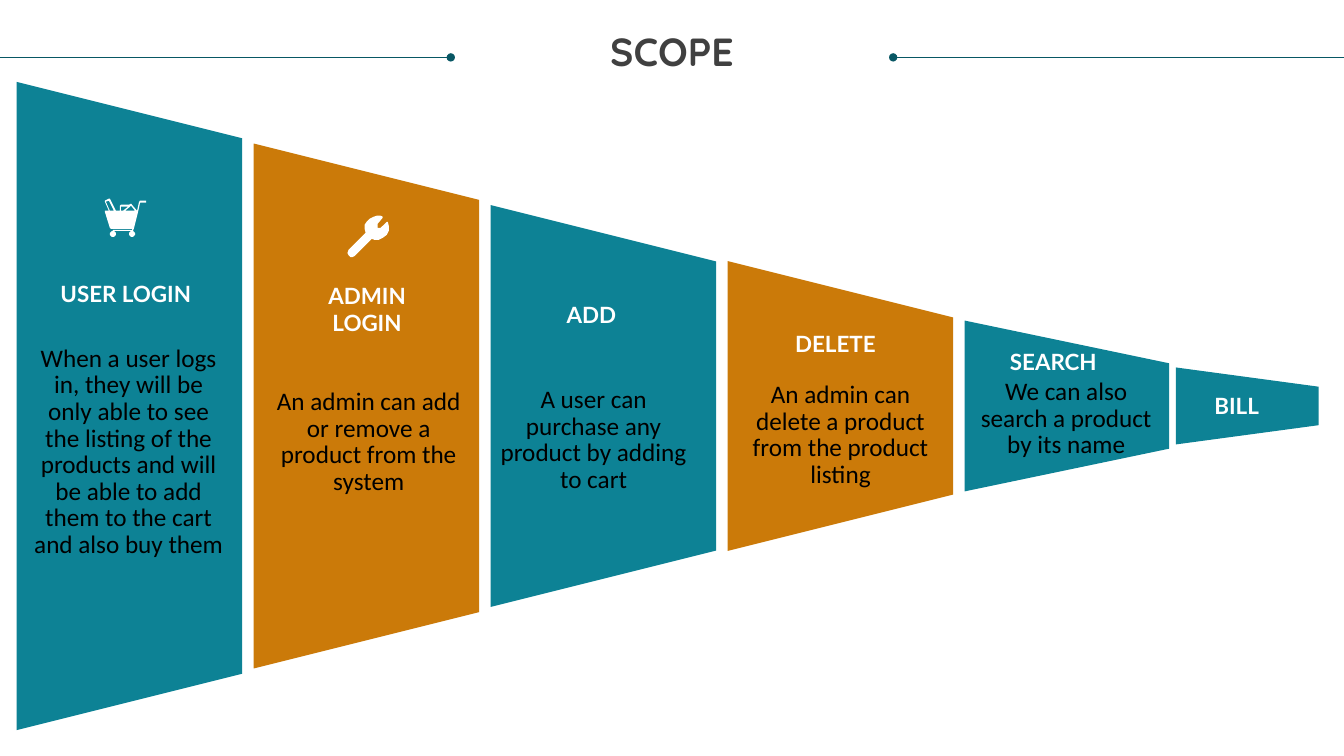
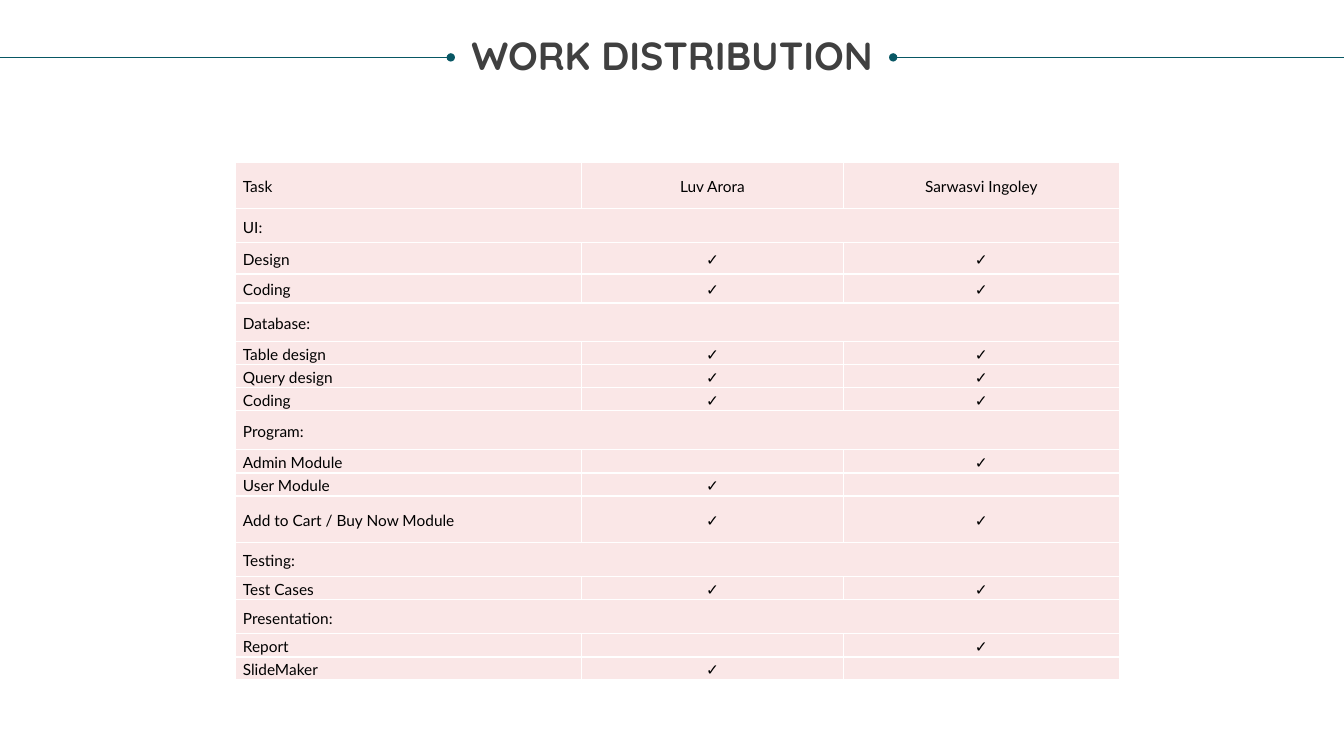
from dataclasses import dataclass

from lxml.etree import SubElement
from pptx import Presentation
from pptx.dml.color import RGBColor as Color
from pptx.enum.shapes import MSO_CONNECTOR as Connector, MSO_SHAPE as Preset
from pptx.enum.text import MSO_ANCHOR as Anchor, PP_ALIGN as Align
from pptx.oxml import parse_xml
from pptx.oxml.ns import nsdecls, qn
from pptx.util import Pt


@dataclass(frozen=True)
class TextStyle:
    font: str
    size: float
    color: str
    bold: bool = False
    spacing: object = None
    after: float = 0


@dataclass(frozen=True)
class Theme:
    teal: str = "0D8295"
    amber: str = "CB7A09"
    white: str = "FFFFFF"
    rule: str = "085764"
    cell: str = "FAE7E7"
    title: TextStyle = TextStyle("Quicksand", 28, "404040", True, 0.9)
    heading: TextStyle = TextStyle("Lato", 16, "FFFFFF", True)
    body: TextStyle = TextStyle("Calibri", 18, "000000", False, Pt(19))
    table: TextStyle = TextStyle("Lato", 11, "000000", False, 1.15, 10)


@dataclass(frozen=True)
class Panel:
    color: str
    width: float
    height: float
    heading: str
    heading_at: tuple
    body: str = ""
    body_at: tuple = ()
    icon: tuple = ()
    icon_at: tuple = ()


THEME = Theme()
PAGE_WIDTH, PAGE_HEIGHT = 960, 540
RULE_Y, RULE_LENGTH = 41, 322
FUNNEL_LEFT, FUNNEL_MIDDLE, PANEL_STEP = 11.9, 290, 169.3
LAST_PANEL_LEFT = 839.9
ICON_UNIT = 0.72

WHEEL = [(-3, -1), (-1, -3), (1, -3), (3, -1), (3, 1), (1, 3), (-1, 3), (-3, 1)]
CART = (
    [(41, 2), (35, 2), (34, 3), (32, 12), (26, 5), (24, 6), (16, 6), (15, 7),
     (15, 12), (11, 12), (5, 0), (4, 0), (0, 2), (0, 3), (4, 12), (0, 12),
     (0, 13), (5, 29), (6, 30), (27, 30), (27, 31), (8, 31), (8, 32),
     (28, 32), (29, 29), (33, 13), (35, 4), (41, 4)],
    [(20, 12), (25, 8), (26, 7), (30, 12)],
    [(16, 12), (16, 8), (23, 8), (18, 12)],
    [(5, 12), (1, 3), (4, 2), (9, 12)],
    [(x + 8, y + 35) for x, y in WHEEL],
    [(x + 27, y + 35) for x, y in WHEEL],
)
WRENCH = (
    [(40, 6), (39, 6), (33, 12), (30, 12), (30, 8), (35, 2), (35, 1), (33, 0),
     (29, 0), (26, 1), (22, 3), (19, 6), (17, 9), (17, 13), (18, 17), (1, 34),
     (0, 37), (1, 39), (3, 41), (5, 41), (7, 40), (24, 23), (27, 24), (31, 24),
     (35, 22), (39, 19), (41, 15), (41, 10)],
)

PANELS = [
    Panel(THEME.teal, 161, 463, "USER LOGIN", (24, 141.7),
          "When a user logs in, they will be only able to see the listing of the "
          "products and will be able to add them to the cart and also buy them",
          (11, 188.5), CART, (63, 83.4)),
    Panel(THEME.amber, 161, 375, "ADMIN LOGIN", (27, 99),
          "An admin can add or remove a product from the system",
          (13.2, 175.4), WRENCH, (67, 51.6)),
    Panel(THEME.teal, 161, 287, "ADD", (18, 68.8),
          "A user can purchase any product by adding to cart", (4.5, 130)),
    Panel(THEME.amber, 161, 207, "DELETE", (23, 49),
          "An admin can delete a product from the product listing", (11.6, 86.4)),
    Panel(THEME.teal, 146, 122, "SEARCH", (9.3, 20),
          "We can also search a product by its name", (3.5, 41.7)),
    Panel(THEME.teal, 102, 55, "BILL", (-10.5, 17.6)),
]

PEOPLE = ("Luv Arora", "Sarwasvi Ingoley")
NOBODY, FIRST, SECOND, BOTH = (False, False), (True, False), (False, True), (True, True)
SECTION = None
TASKS = [
    ("UI:", SECTION, 24.5),
    ("Design", BOTH, 22.3),
    ("Coding", BOTH, 20.7),
    ("Database:", SECTION, 27.4),
    ("Table design", BOTH, 16.5),
    ("Query design", BOTH, 16.5),
    ("Coding", BOTH, 16.5),
    ("Program:", SECTION, 28),
    ("Admin Module", SECOND, 16.5),
    ("User Module", FIRST, 16.5),
    ("Add to Cart / Buy Now Module", BOTH, 33),
    ("Testing:", SECTION, 24.5),
    ("Test Cases", BOTH, 16.5),
    ("Presentation:", SECTION, 24.5),
    ("Report", SECOND, 16.5),
    ("SlideMaker", FIRST, 16.5),
]
HEADER_HEIGHT = 33
COLUMN_WIDTHS = (247, 187, 197)


def write(frame, text, style, align=Align.CENTER):
    para = frame.paragraphs[0]
    para.alignment = align
    para.line_spacing = style.spacing
    para.space_after = Pt(style.after)
    font = para.font
    font.name, font.size, font.bold = style.font, Pt(style.size), style.bold
    font.color.rgb = Color.from_string(style.color)
    if text:
        para.add_run().text = text


def add_text(page, left, top, width, height, text, style):
    box = page.shapes.add_textbox(Pt(left), Pt(top), Pt(width), Pt(height))
    frame = box.text_frame
    frame.word_wrap = True
    frame.margin_left = frame.margin_top = frame.margin_right = frame.margin_bottom = 0
    write(frame, text, style)


def paint(shape, color):
    shape.shadow.inherit = False
    shape.fill.solid()
    shape.fill.fore_color.rgb = Color.from_string(color)
    shape.line.fill.background()


def add_rule(page, inner, outer):
    rule = page.shapes.add_connector(
        Connector.STRAIGHT, Pt(inner), Pt(RULE_Y), Pt(outer), Pt(RULE_Y))
    rule.line.color.rgb = Color.from_string(THEME.rule)
    rule.line.width = Pt(0.5)
    SubElement(rule.line._get_or_add_ln(), qn("a:headEnd"), type="oval")
    SubElement(rule._element.spPr, qn("a:effectLst"))


def add_page(deck, title, title_top):
    page = deck.slides.add_slide(deck.slide_layouts[6])
    add_rule(page, RULE_LENGTH, 0)
    add_rule(page, PAGE_WIDTH - RULE_LENGTH, PAGE_WIDTH)
    add_text(page, 18, title_top, PAGE_WIDTH - 36, 53, title, THEME.title)
    return page


def add_icon(page, left, top, contours):
    first, *others = contours
    builder = page.shapes.build_freeform(*first[0], scale=Pt(ICON_UNIT))
    builder.add_line_segments(first[1:], close=True)
    for contour in others:
        builder.move_to(*contour[0])
        builder.add_line_segments(contour[1:], close=True)
    paint(builder.convert_to_shape(Pt(left), Pt(top)), THEME.white)


def add_panel(page, left, top, panel):
    shift = (panel.height - panel.width) / 2
    shape = page.shapes.add_shape(
        Preset.TRAPEZOID, Pt(left - shift), Pt(top + shift),
        Pt(panel.height), Pt(panel.width))
    shape.rotation = 90
    paint(shape, panel.color)
    x, y = panel.heading_at
    add_text(page, left + x, top + y, 108, 19.2, panel.heading, THEME.heading)
    if panel.body:
        x, y = panel.body_at
        add_text(page, left + x, top + y, 138, 77, panel.body, THEME.body)
    if panel.icon:
        x, y = panel.icon_at
        add_icon(page, left + x, top + y, panel.icon)


def add_scope(deck):
    page = add_page(deck, "SCOPE", 23)
    lefts = [FUNNEL_LEFT + PANEL_STEP * index for index in range(len(PANELS) - 1)]
    for left, panel in zip(lefts + [LAST_PANEL_LEFT], PANELS):
        add_panel(page, left, FUNNEL_MIDDLE - panel.height / 2, panel)


def style_cell(cell):
    cell.fill.solid()
    cell.fill.fore_color.rgb = Color.from_string(THEME.cell)
    cell.vertical_anchor = Anchor.MIDDLE
    cell.margin_left = cell.margin_right = Pt(5)
    cell.margin_top = cell.margin_bottom = 0
    properties = cell._tc.get_or_add_tcPr()
    for index, side in enumerate(("lnL", "lnR", "lnT", "lnB")):
        properties.insert(index, parse_xml(
            f'<a:{side} {nsdecls("a")} w="{Pt(1)}"><a:solidFill>'
            f'<a:srgbClr val="{THEME.white}"/></a:solidFill></a:{side}>'))


def add_task_table(page, left, top):
    rows = [("Task", *PEOPLE)]
    rows += [(task, *("✓" if done else "" for done in marks or NOBODY))
             for task, marks, _ in TASKS]
    heights = [HEADER_HEIGHT] + [height for _, _, height in TASKS]
    table = page.shapes.add_table(
        len(rows), len(COLUMN_WIDTHS), Pt(left), Pt(top),
        Pt(sum(COLUMN_WIDTHS)), Pt(sum(heights))).table
    table.first_row = table.horz_banding = False
    for column, width in zip(table.columns, COLUMN_WIDTHS):
        column.width = Pt(width)
    for row, height, texts in zip(table.rows, heights, rows):
        row.height = Pt(height)
        for index, (cell, text) in enumerate(zip(row.cells, texts)):
            style_cell(cell)
            write(cell.text_frame, text, THEME.table,
                  Align.CENTER if index else Align.LEFT)
    for index, (_, marks, _) in enumerate(TASKS, start=1):
        if marks is SECTION:
            table.cell(index, 0).merge(table.cell(index, len(COLUMN_WIDTHS) - 1))


def add_work_distribution(deck):
    page = add_page(deck, "WORK DISTRIBUTION", 26)
    add_task_table(page, 168.5, 116)


def main():
    deck = Presentation()
    deck.slide_width, deck.slide_height = Pt(PAGE_WIDTH), Pt(PAGE_HEIGHT)
    add_scope(deck)
    add_work_distribution(deck)
    deck.save("out.pptx")


if __name__ == "__main__":
    main()
